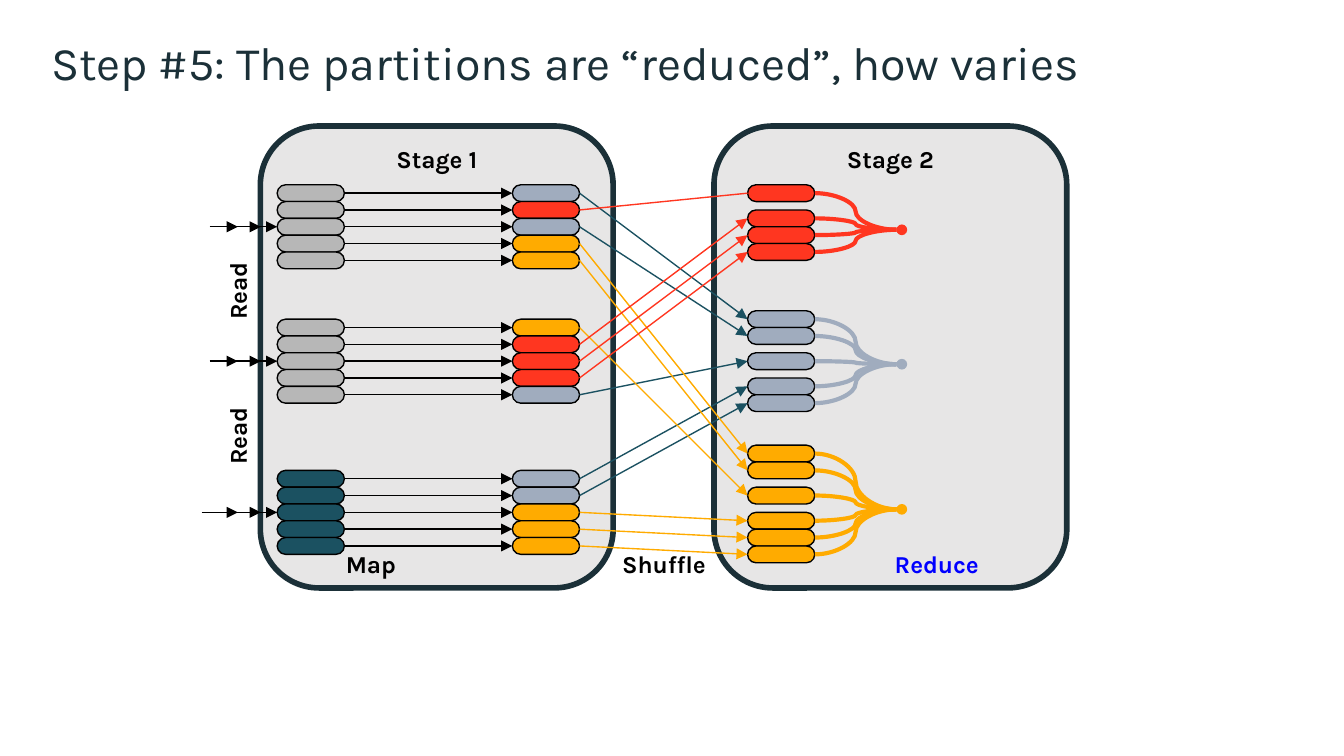
from dataclasses import dataclass

import lxml.etree
import pptx
import pptx.dml.color
import pptx.enum.shapes
import pptx.enum.text
import pptx.oxml.ns
import pptx.util
from pptx.util import Inches

Kind = pptx.enum.shapes.MSO_SHAPE
Link = pptx.enum.shapes.MSO_CONNECTOR
Align = pptx.enum.text.PP_ALIGN
Anchor = pptx.enum.text.MSO_ANCHOR


@dataclass(frozen=True)
class Theme:
    font: str = "Karla"
    ink: str = "1B3038"
    black: str = "000000"
    blue: str = "0000FF"
    panel: str = "E7E6E6"
    gray: str = "B7B7B7"
    teal: str = "1B5161"
    red: str = "FF3620"
    steel: str = "A0ACBE"
    gold: str = "FFAB00"
    title: float = 25
    label: float = 13
    thin: float = 0.75
    curve: float = 2.25
    frame: float = 3


T = Theme()


@dataclass(frozen=True)
class Label:
    text: str
    left: float
    top: float
    width: float
    height: float
    color: str = T.black
    size: float = T.label
    bold: bool = True
    align: Align = Align.CENTER
    anchor: Anchor = Anchor.TOP
    pad_x: float = 0.07
    pad_y: float = 0.07
    space: float = 1.0
    turn: float = 0


@dataclass(frozen=True)
class Stack:
    top: float
    fill: str
    tail: float
    mapped: tuple[str, ...]


@dataclass(frozen=True)
class Group:
    color: str
    line: str
    top: float
    runs: tuple[int, ...]
    dot_y: float


WIDE, HIGH = 10, 10 * 9 / 16
UNIT = 1 / 16
PILL_W, PILL_H, GAP = 8 * UNIT, 2 * UNIT, UNIT
READ_X, MAP_X, REDUCE_X = 33 * UNIT, 61 * UNIT, 89 * UNIT
DOT_X, DOT = 6.67, 0.08
PANELS = (31 * UNIT, 85 * UNIT)
PANEL_Y, PANEL_W, PANEL_H = 15 * UNIT, 42 * UNIT, 55 * UNIT

STACKS = (
    Stack(22 * UNIT, T.gray, 1.65, (T.steel, T.red, T.steel, T.gold, T.gold)),
    Stack(38 * UNIT, T.gray, 1.65, (T.gold, T.red, T.red, T.red, T.steel)),
    Stack(56 * UNIT, T.teal, 1.5, (T.steel, T.steel, T.gold, T.gold, T.gold)),
)
GROUPS = (
    Group(T.steel, T.teal, 37 * UNIT, (2, 1, 2), 2.71),
    Group(T.gold, T.gold, 53 * UNIT, (2, 1, 3), 3.79),
    Group(T.red, T.red, 22 * UNIT, (1, 3), 1.71),
)
LABELS = (
    Label("Stage 1", PANELS[0], 1, PANEL_W, 0.31),
    Label("Stage 2", PANELS[1], 1, PANEL_W, 0.31),
    Label("Map", 2.26, 4.02, 1, 0.31),
    Label("Shuffle", 4.44, 4.02, 1, 0.31),
    Label("Reduce", 6.47, 4.02, 1, 0.31, color=T.blue),
    *(Label("Read", 1.46, top, 0.67, 0.25, anchor=Anchor.MIDDLE,
            pad_x=0, pad_y=0, space=0.65, turn=270) for top in (2.04, 3.12)),
    Label("Step #5: The partitions are “reduced”, how varies", 0.38, 0.3, 9.62,
          0.37, color=T.ink, size=T.title, bold=False, align=Align.LEFT,
          anchor=Anchor.MIDDLE, pad_x=0, pad_y=0.04, space=0.9),
)


def rgb(color: str) -> pptx.dml.color.RGBColor:
    return pptx.dml.color.RGBColor.from_string(color)


def draw_shape(slide, kind: Kind, left: float, top: float, width: float,
               height: float, fill: str, line: str = "", weight: float = T.thin):
    shape = slide.shapes.add_shape(
        kind, Inches(left), Inches(top), Inches(width), Inches(height))
    shape.shadow.inherit = False
    shape.fill.solid()
    shape.fill.fore_color.rgb = rgb(fill)
    if line:
        shape.line.color.rgb = rgb(line)
        shape.line.width = pptx.util.Pt(weight)
    else:
        shape.line.fill.background()
    return shape


def draw_pill(slide, left: float, top: float, fill: str):
    pill = draw_shape(slide, Kind.ROUNDED_RECTANGLE, left, top, PILL_W, PILL_H,
                      fill, T.black)
    pill.adjustments[0] = 0.5
    return pill


def draw_line(slide, start: tuple[float, float], end: tuple[float, float],
              color: str, arrow: bool = True, kind: Link = Link.STRAIGHT,
              weight: float = T.thin):
    line = slide.shapes.add_connector(kind, *map(Inches, start + end))
    line.line.color.rgb = rgb(color)
    line.line.width = pptx.util.Pt(weight)
    if arrow:
        edge = line._element.spPr.find(pptx.oxml.ns.qn("a:ln"))
        lxml.etree.SubElement(edge, pptx.oxml.ns.qn("a:tailEnd"), type="triangle")
    lxml.etree.SubElement(line._element.spPr, pptx.oxml.ns.qn("a:effectLst"))
    return line


def join(slide, source, target, color: str, arrow: bool = True) -> None:
    line = draw_line(slide, (0, 0), (1, 1), color, arrow)
    line.begin_connect(source, 3)
    line.end_connect(target, 1)


def draw_label(slide, label: Label) -> None:
    box = slide.shapes.add_textbox(Inches(label.left), Inches(label.top),
                                   Inches(label.width), Inches(label.height))
    box.rotation = label.turn
    frame = box.text_frame
    frame.word_wrap = True
    frame.vertical_anchor = label.anchor
    frame.margin_left = frame.margin_right = Inches(label.pad_x)
    frame.margin_top = frame.margin_bottom = Inches(label.pad_y)
    para = frame.paragraphs[0]
    para.text = label.text
    para.alignment = label.align
    para.line_spacing = label.space
    para.font.name = T.font
    para.font.size = pptx.util.Pt(label.size)
    para.font.bold = label.bold
    para.font.color.rgb = rgb(label.color)


def draw_stack(slide, stack: Stack) -> list:
    tops = [stack.top + row * PILL_H for row in range(len(stack.mapped))]
    reads = [draw_pill(slide, READ_X, top, stack.fill) for top in tops]
    maps = [draw_pill(slide, MAP_X, top, color)
            for top, color in zip(tops, stack.mapped)]
    for read, pill in zip(reads, maps):
        join(slide, read, pill, T.black)
    mid = tops[2] + PILL_H / 2
    for start, end in ((1.58, 1.94), (1.56, 1.77), (stack.tail, READ_X)):
        line = draw_line(slide, (start, mid), (end, mid), T.black)
    line.end_connect(reads[2], 1)
    return list(zip(stack.mapped, maps))


def draw_group(slide, group: Group, sources: list) -> None:
    tops = []
    top = group.top
    for run in group.runs:
        tops += [top + row * PILL_H for row in range(run)]
        top += run * PILL_H + GAP
    for row, (source, top) in enumerate(zip(sources, tops)):
        pill = draw_pill(slide, REDUCE_X, top, group.color)
        plain = group.color == T.red and row == 0
        join(slide, source, pill, group.line, arrow=not plain)
        draw_line(slide, (REDUCE_X + PILL_W, top + PILL_H / 2),
                  (DOT_X, group.dot_y), group.color, False, Link.CURVE, T.curve)
    draw_shape(slide, Kind.FLOWCHART_CONNECTOR, DOT_X, group.dot_y - DOT / 2,
               DOT, DOT, group.color)


def main() -> None:
    deck = pptx.Presentation()
    deck.slide_width, deck.slide_height = Inches(WIDE), Inches(HIGH)
    slide = deck.slides.add_slide(deck.slide_layouts[6])
    for left in PANELS:
        draw_shape(slide, Kind.ROUNDED_RECTANGLE, left, PANEL_Y, PANEL_W,
                   PANEL_H, T.panel, T.ink, T.frame)
    mapped = [pair for stack in STACKS for pair in draw_stack(slide, stack)]
    for group in GROUPS:
        draw_group(slide, group,
                   [pill for color, pill in mapped if color == group.color])
    for label in LABELS:
        draw_label(slide, label)
    deck.save("out.pptx")


if __name__ == "__main__":
    main()
